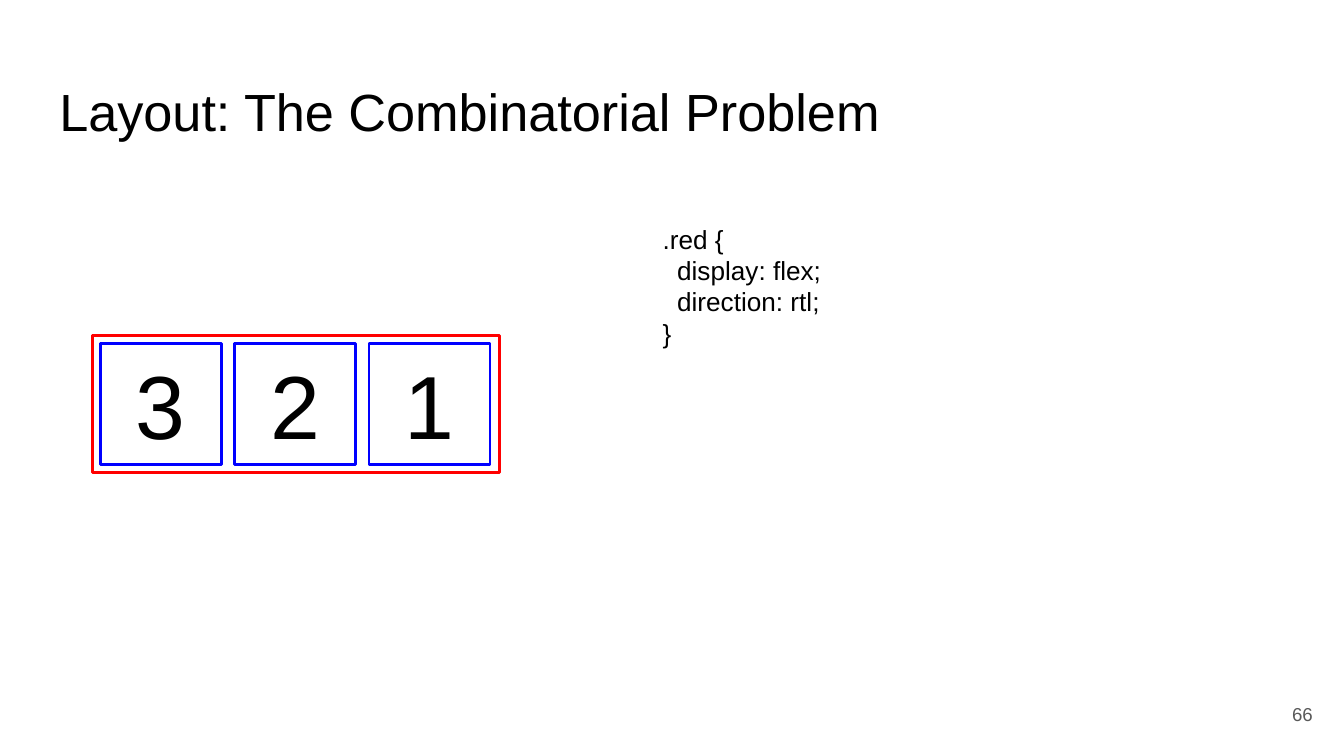
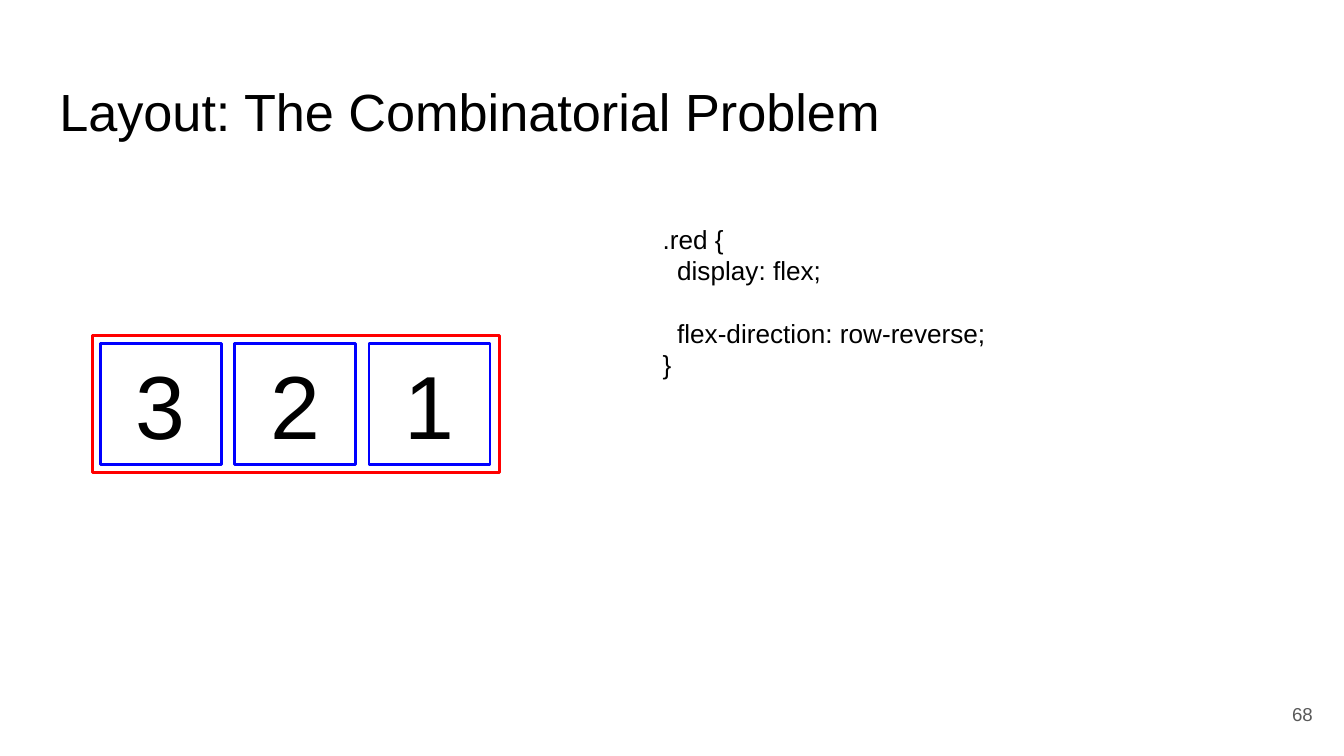
from dataclasses import dataclass

from pptx import Presentation
from pptx import util as u
from pptx.dml.color import RGBColor
from pptx.enum import shapes, text

WIDTH = u.Inches(10)
HEIGHT = u.Emu(WIDTH * 9 // 16)
CELL = WIDTH / 100
FONT = "Arial"
HUES = {"ink": "000000", "gray": "595959", "red": "FF0000", "blue": "0000FF"}
TITLE = "Layout: The Combinatorial Problem"
DIGITS = "321"


@dataclass(frozen=True)
class Area:
    col: float
    row: float
    cols: float
    rows: float

    def place(self) -> tuple[int, ...]:
        return tuple(round(n * CELL) for n in (self.col, self.row, self.cols, self.rows))


@dataclass(frozen=True)
class Style:
    size: float
    hue: str = "ink"
    align: text.PP_ALIGN = text.PP_ALIGN.LEFT
    anchor: text.MSO_ANCHOR = text.MSO_ANCHOR.TOP


@dataclass(frozen=True)
class Page:
    number: int
    code: tuple[str, ...]
    gaps: tuple[int, ...] = ()


HEAD = Area(3.41, 4.87, 93.18, 6.26)
FOOT = Area(92.66, 51, 6, 4.3)
CODE = Area(48.32, 15.6, 44.3, 35.4)
FRAME = Area(6.9, 24.94, 30.3, 10.2)
FIRST = Area(7.46, 25.57, 9, 9)
STEP = 10

HEADING = Style(28)
LISTING = Style(14)
FOLIO = Style(10, "gray", text.PP_ALIGN.RIGHT, text.MSO_ANCHOR.MIDDLE)
DIGIT = Style(48, align=text.PP_ALIGN.CENTER, anchor=text.MSO_ANCHOR.MIDDLE)

PAGES = (
    Page(66, (".red {", "  display: flex;", "  direction: rtl;", "}")),
    Page(68, (".red {", "  display: flex;", "  flex-direction: row-reverse;", "}"), (2,)),
)


def tint(name: str) -> RGBColor:
    return RGBColor.from_string(HUES[name])


def write(shape, words: str, style: Style) -> None:
    frame = shape.text_frame
    frame.text = words
    frame.word_wrap = True
    frame.auto_size = text.MSO_AUTO_SIZE.NONE
    frame.vertical_anchor = style.anchor
    frame.margin_left = frame.margin_right = u.Inches(0.1)
    frame.margin_top = frame.margin_bottom = u.Inches(0.1)
    for para in frame.paragraphs:
        para.alignment = style.align
        para.line_spacing = 1.0
        para.space_before = para.space_after = u.Pt(0)
        for run in para.runs:
            run.font.name = FONT
            run.font.size = u.Pt(style.size)
            run.font.color.rgb = tint(style.hue)


def add_text(slide, area: Area, words: str, style: Style):
    box = slide.shapes.add_textbox(*area.place())
    write(box, words, style)
    return box


def add_box(slide, area: Area, hue: str):
    box = slide.shapes.add_shape(shapes.MSO_SHAPE.RECTANGLE, *area.place())
    box.shadow.inherit = False
    box.fill.background()
    box.line.color.rgb = tint(hue)
    box.line.width = u.Pt(1.5)
    return box


def add_page(deck, page: Page) -> None:
    slide = deck.slides.add_slide(deck.slide_layouts[5])
    title = slide.shapes.title
    title.left, title.top, title.width, title.height = HEAD.place()
    write(title, TITLE, HEADING)
    add_text(slide, FOOT, str(page.number), FOLIO)
    code = add_text(slide, CODE, "\n".join(page.code), LISTING)
    for line in page.gaps:
        code.text_frame.paragraphs[line].space_before = u.Pt(LISTING.size * 1.2)
    add_box(slide, FRAME, "red")
    for i, digit in enumerate(DIGITS):
        area = Area(FIRST.col + i * STEP, FIRST.row, FIRST.cols, FIRST.rows)
        write(add_box(slide, area, "blue"), digit, DIGIT)


def main() -> None:
    deck = Presentation()
    deck.slide_width, deck.slide_height = WIDTH, HEIGHT
    for page in PAGES:
        add_page(deck, page)
    deck.save("out.pptx")


if __name__ == "__main__":
    main()
